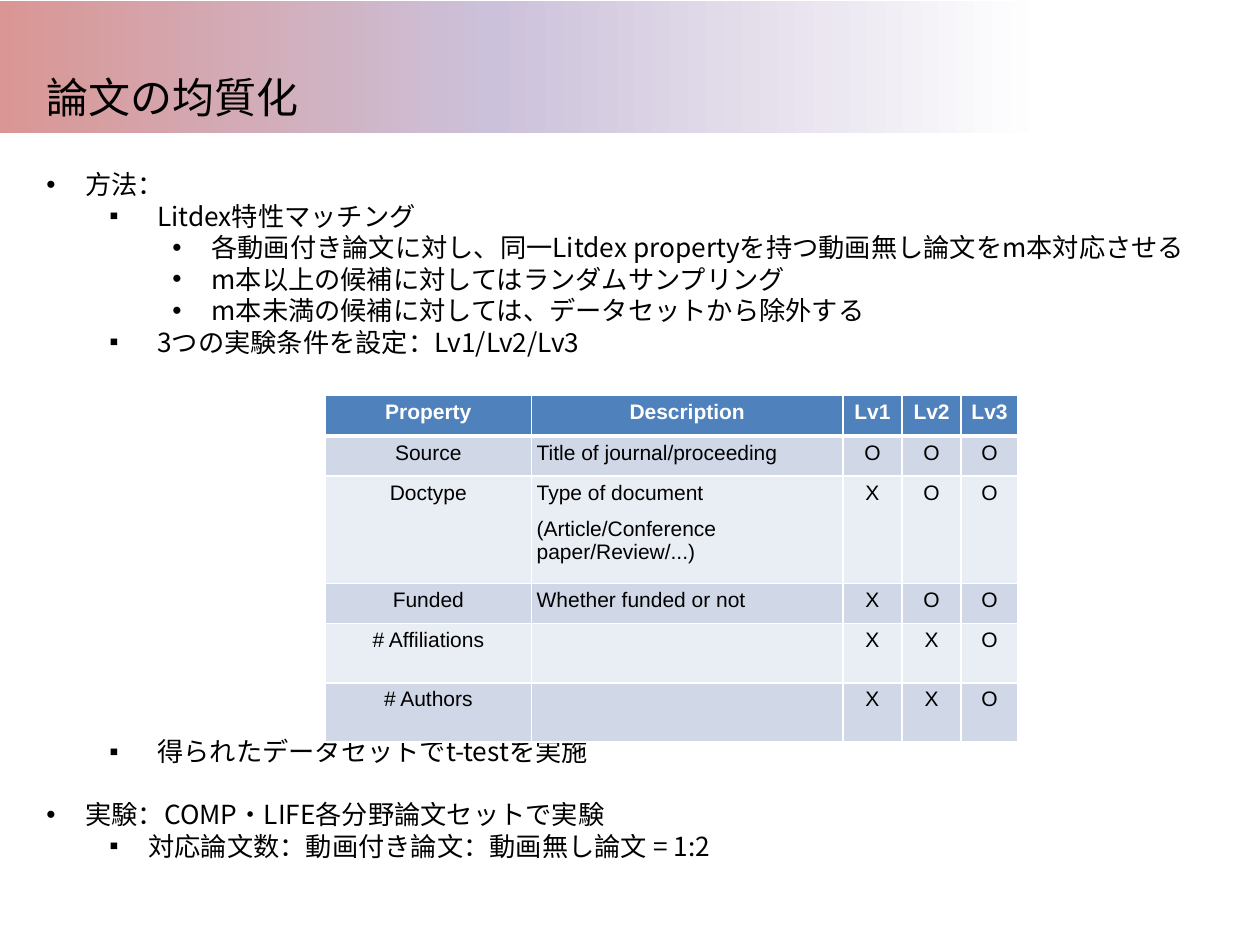
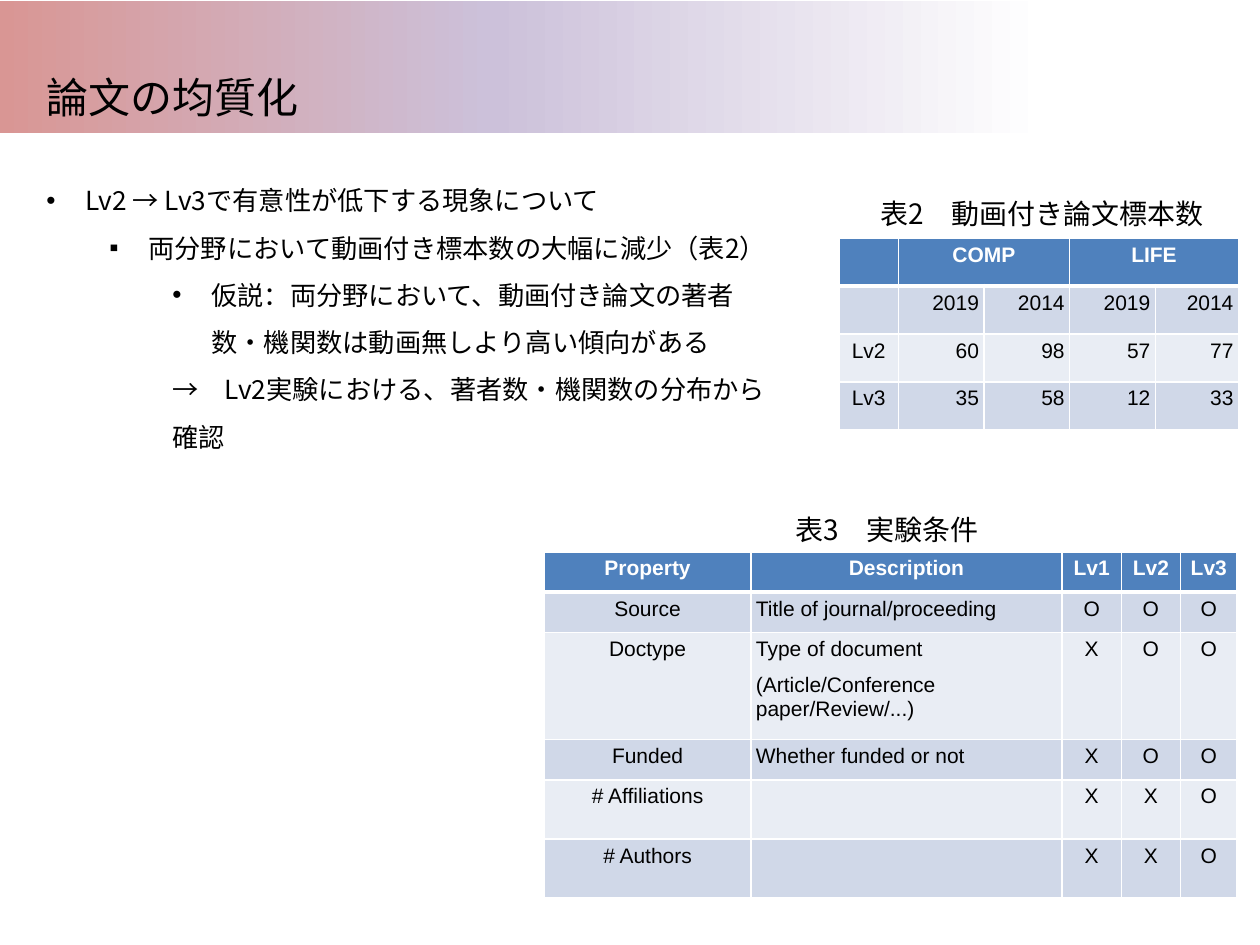
from lxml import etree
from pptx import Presentation
from pptx.dml.color import RGBColor
from pptx.enum.shapes import MSO_SHAPE
from pptx.enum.text import MSO_ANCHOR, MSO_AUTO_SIZE, PP_ALIGN
from pptx.oxml import parse_xml
from pptx.oxml.ns import nsdecls, qn
from pptx.util import Inches, Pt

COLORS = {
    "text": "000000",
    "white": "FFFFFF",
    "header": "4F81BD",
    "odd": "D0D8E8",
    "even": "E9EDF4",
    "rose": "D99694",
    "lilac": "CCC1DA",
}
JP, LATIN = "Noto Sans CJK JP", "Arial"
LEFT, CENTER, RIGHT = PP_ALIGN.LEFT, PP_ALIGN.CENTER, PP_ALIGN.RIGHT
TITLE = "論文の均質化"
LINE = 18

LV1_WIDE = (1, 0.88, -0.38, "▪")
LV0 = (0, 0.31, -0.31, "•")
LV1 = (1, 0.81, -0.31, "▪")
LV2 = (2, 1.31, -0.31, "•")
LV2_PLAIN = (2, 1, 0, None)

METHOD = [
    (LV0, "方法：", 0),
    (LV1_WIDE, "Litdex特性マッチング", 0),
    (LV2, "各動画付き論文に対し、同一Litdex propertyを持つ動画無し論文をm本対応させる", 0),
    (LV2, "m本以上の候補に対してはランダムサンプリング", 0),
    (LV2, "m本未満の候補に対しては、データセットから除外する", 0),
    (LV1_WIDE, "3つの実験条件を設定：Lv1/Lv2/Lv3", 0),
    (LV1_WIDE, "得られたデータセットでt-testを実施", 12 * LINE),
    (LV0, "実験：COMP・LIFE各分野論文セットで実験", LINE),
    (LV1, "対応論文数：動画付き論文：動画無し論文 = 1:2", 0),
]
FINDINGS = [
    (LV0, "Lv2 → Lv3で有意性が低下する現象について", 0),
    (LV1, "両分野において動画付き標本数の大幅に減少（表2）", 0),
    (LV2, "仮説：両分野において、動画付き論文の著者数・機関数は動画無しより高い傾向がある", 0),
    (LV2_PLAIN, "→　Lv2実験における、著者数・機関数の分布から確認", 0),
]
CONDITIONS = {
    "widths": [1.64, 2.47, 0.47, 0.47, 0.45],
    "heights": [0.32, 0.32, 0.85, 0.32, 0.47, 0.47],
    "aligns": [CENTER, LEFT, CENTER, CENTER, CENTER],
    "merges": [],
    "rows": [
        ["Property", "Description", "Lv1", "Lv2", "Lv3"],
        ["Source", "Title of journal/proceeding", "O", "O", "O"],
        ["Doctype", "Type of document\n(Article/Conference paper/Review/...)", "X", "O", "O"],
        ["Funded", "Whether funded or not", "X", "O", "O"],
        ["# Affiliations", "", "X", "X", "O"],
        ["# Authors", "", "X", "X", "O"],
    ],
}
SAMPLES = {
    "widths": [0.47, 0.68, 0.68, 0.68, 0.66],
    "heights": [0.38] * 4,
    "aligns": [CENTER, RIGHT, RIGHT, RIGHT, RIGHT],
    "merges": [(1, 2), (3, 4)],
    "rows": [
        ["", "COMP", "", "LIFE", ""],
        ["", "2019", "2014", "2019", "2014"],
        ["Lv2", "60", "98", "57", "77"],
        ["Lv3", "35", "58", "12", "33"],
    ],
}


def style(p, size, font=JP, color="text", bold=False, **para):
    for name, value in para.items():
        setattr(p, name, value)
    for r in p.runs:
        for name, value in {"size": Pt(size), "name": font, "bold": bold}.items():
            setattr(r.font, name, value)
        r.font.color.rgb = RGBColor.from_string(COLORS[color])
        ea = etree.SubElement(r.font._element, qn("a:ea"))
        ea.set("typeface", JP)


def draw_table(slide, left, top, data):
    rows, widths, heights = data["rows"], data["widths"], data["heights"]
    frame = slide.shapes.add_table(len(rows), len(widths), Inches(left), Inches(top),
                                   Inches(sum(widths)), Inches(sum(heights)))
    table = frame.table
    table.horz_banding = False
    for col, width in zip(table.columns, widths):
        col.width = Inches(width)
    for row, height in zip(table.rows, heights):
        row.height = Inches(height)
    for first, last in data["merges"]:
        table.cell(0, first).merge(table.cell(0, last))
    for i, row in enumerate(rows):
        for j, text in enumerate(row):
            cell = table.cell(i, j)
            for side in ("left", "top", "right", "bottom"):
                setattr(cell, "margin_" + side, Inches(0.04))
            fill = "header" if i == 0 else "odd" if i % 2 else "even"
            cell.fill.solid()
            cell.fill.fore_color.rgb = RGBColor.from_string(COLORS[fill])
            edges = {"L": 1, "R": 1, "T": 3 if i == 1 else 1, "B": 3 if i == 0 else 1}
            for k, (edge, width) in enumerate(edges.items()):
                cell._tc.get_or_add_tcPr().insert(k, parse_xml(
                    f'<a:ln{edge} {nsdecls("a")} w="{Pt(width)}"><a:solidFill>'
                    f'<a:srgbClr val="{COLORS["white"]}"/></a:solidFill></a:ln{edge}>'))
            if text:
                cell.text = text
                for p in cell.text_frame.paragraphs:
                    style(p, 12, LATIN, "white" if i == 0 else "text", i == 0,
                          alignment=CENTER if i == 0 else data["aligns"][j],
                          space_after=Pt(7.2))


prs = Presentation()
prs.slide_width, prs.slide_height = Inches(10), Inches(7.5)
layout = prs.slide_layouts[5]
slides = [prs.slides.add_slide(layout) for _ in range(2)]
method, findings = slides

band = method.shapes.add_shape(MSO_SHAPE.RECTANGLE, 0, Inches(0.01), Inches(10), Inches(1.05))
band.shadow.inherit = False
band.line.fill.background()
band.fill.gradient()
band.fill.gradient_angle = 0
stops = band.element.spPr.find(qn("a:gradFill")).find(qn("a:gsLst"))
for gs in list(stops):
    stops.remove(gs)
for pos, color in [(0, "rose"), (39, "lilac"), (83, "white"), (100, "white")]:
    gs = etree.SubElement(stops, qn("a:gs"), pos=str(pos * 1000))
    etree.SubElement(gs, qn("a:srgbClr"), val=COLORS[color])
layout.shapes.element.insert(2, band.element)

for s in slides:
    sp = s.shapes.title
    box = {"left": 0.27, "top": 0.14, "width": 9.48, "height": 0.88}
    for name, value in box.items():
        setattr(sp, name, Inches(value))
    tf = sp.text_frame
    tf.text = TITLE
    tf.auto_size = MSO_AUTO_SIZE.NONE
    tf.vertical_anchor = MSO_ANCHOR.BOTTOM
    style(tf.paragraphs[0], 24, alignment=LEFT)

for s, width, spacing, items in [(method, 9.32, LINE, METHOD),
                                 (findings, 6.03, 1.5 * LINE, FINDINGS)]:
    tf = s.shapes.add_textbox(Inches(0.27), Inches(1.29), Inches(width), Inches(5.83)).text_frame
    tf.word_wrap = True
    for i, ((level, margin, indent, bullet), text, gap) in enumerate(items):
        p = tf.add_paragraph() if i else tf.paragraphs[0]
        p.add_run().text = text
        style(p, 15, level=level, line_spacing=Pt(spacing), space_before=Pt(gap))
        pPr = p._p.get_or_add_pPr()
        pPr.set("marL", str(Inches(margin)))
        pPr.set("indent", str(Inches(indent)))
        if bullet:
            etree.SubElement(pPr, qn("a:buFont"), typeface=LATIN)
            etree.SubElement(pPr, qn("a:buChar"), char=bullet)

for left, top, text in [(4.97, 1.4, "表2　動画付き論文標本数"), (3.74, 3.91, "表3　実験条件")]:
    tf = findings.shapes.add_textbox(Inches(left), Inches(top), Inches(6.6), Inches(0.45)).text_frame
    tf.word_wrap = True
    tf.vertical_anchor = MSO_ANCHOR.MIDDLE
    tf.text = text
    style(tf.paragraphs[0], 16, alignment=CENTER, line_spacing=Pt(28.8))

draw_table(method, 2.58, 3.14, CONDITIONS)
draw_table(findings, 6.66, 1.89, SAMPLES)
draw_table(findings, 4.32, 4.38, CONDITIONS)

prs.save("out.pptx")
